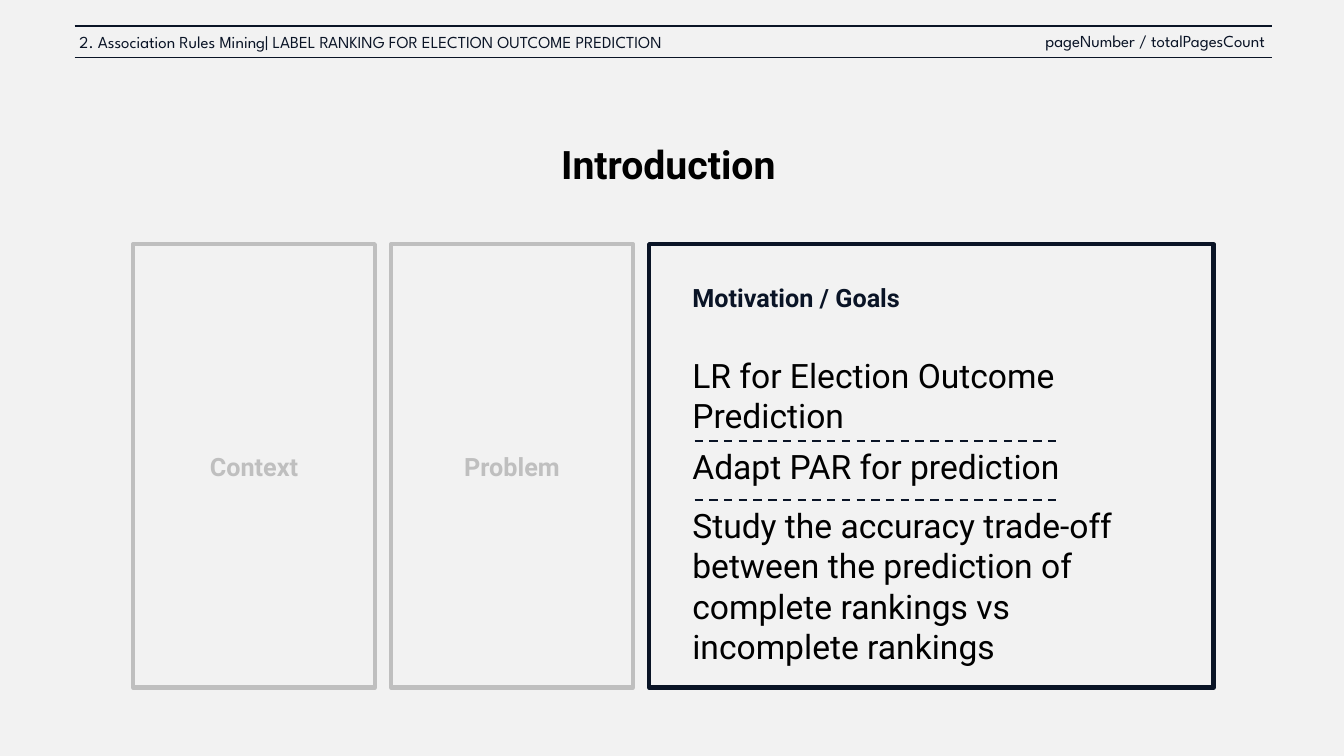
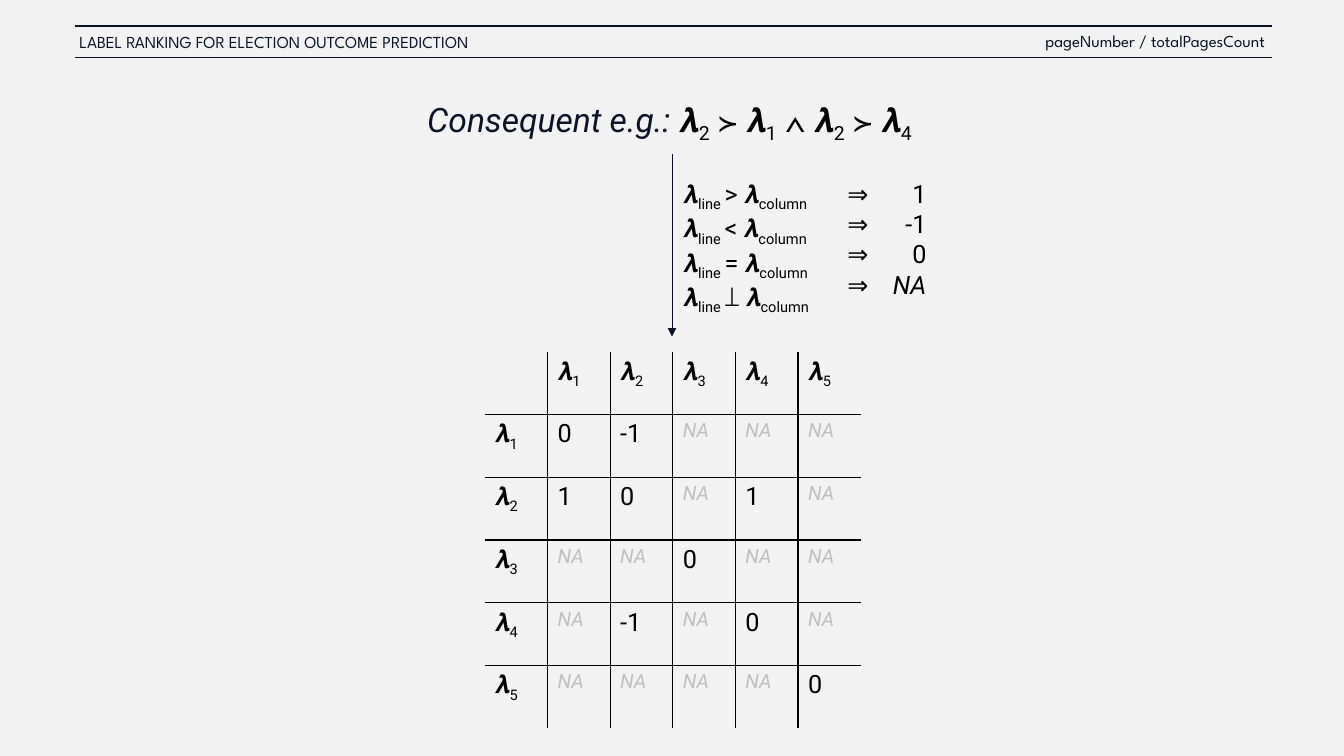
import lxml.etree
import pptx
import pptx.dml.color
import pptx.enum.dml
import pptx.enum.shapes
import pptx.enum.text
import pptx.oxml
import pptx.oxml.ns
import pptx.util

NAVY, BLACK, GREY, PAPER = "0A1426", "000000", "BFBFBF", "F2F2F2"
BODY_FONT, HEADER_FONT = "Roboto", "League Spartan"
colour = pptx.dml.color.RGBColor.from_string
Align = pptx.enum.text.PP_ALIGN
Dash = pptx.enum.dml.MSO_LINE

deck = pptx.Presentation()
deck.slide_width = pptx.util.Inches(13.33)
deck.slide_height = pptx.util.Inches(7.5)
master_fill = deck.slide_master.background.fill
master_fill.solid()
master_fill.fore_color.rgb = colour(PAPER)

# Square grid: 80 columns by 45 rows
CELL = deck.slide_width / 80


def grid(*counts):
    return [pptx.util.Emu(round(CELL * count)) for count in counts]


def write(para, text, size, ink, font=BODY_FONT, bold=False, italic=False):
    """Add runs to a paragraph; text between tildes is subscript."""
    for number, part in enumerate(text.split("~")):
        if not part:
            continue
        span = para.add_run()
        span.text = part
        span.font.name = font
        span.font.size = pptx.util.Pt(size)
        span.font.color.rgb = colour(ink)
        span.font.bold = bold
        span.font.italic = italic
        if number % 2:
            span._r.get_or_add_rPr().set("baseline", "-25000")


# Pages with their titles
title_only = deck.slide_layouts[5]
intro, matrix = [deck.slides.add_slide(title_only) for _ in range(2)]
titles = [
    (intro, (17.16, 5.4, 45.24, 9.12), [("Introduction", 28, BLACK, True, False)]),
    (matrix, (0, 5.04, 80, 4.2), [
        ("Consequent e.g.: ", 24, NAVY, False, True),
        ("𝝀~2~ ≻ 𝝀~1~ ∧ 𝝀~2~ ≻ 𝝀~4 ~", 24, BLACK, False, False)]),
]
for page, area, pieces in titles:
    title = page.shapes.title
    title.left, title.top, title.width, title.height = grid(*area)
    title.text_frame.auto_size = pptx.enum.text.MSO_AUTO_SIZE.NONE
    title.text_frame.vertical_anchor = pptx.enum.text.MSO_ANCHOR.MIDDLE
    para = title.text_frame.paragraphs[0]
    para.alignment = Align.CENTER
    para.line_spacing = 0.9
    for text, size, ink, bold, italic in pieces:
        write(para, text, size, ink, bold=bold, italic=italic)

# Panels: two faded steps and the current one
PANEL_LEFT, PANEL_TOP, PANEL_PITCH, PANEL_HEIGHT = 7.92, 14.54, 15.36, 26.4
panels = [("Context", 14.4, GREY), ("Problem", 14.4, GREY), ("", 33.6, NAVY)]
for number, (label, width, ink) in enumerate(panels):
    panel = intro.shapes.add_shape(
        pptx.enum.shapes.MSO_SHAPE.RECTANGLE,
        *grid(PANEL_LEFT + number * PANEL_PITCH, PANEL_TOP, width, PANEL_HEIGHT))
    panel.shadow.inherit = False
    panel.fill.background()
    panel.line.color.rgb = colour(ink)
    panel.line.width = pptx.util.Pt(3)
    para = panel.text_frame.paragraphs[0]
    para.alignment = Align.CENTER
    write(para, label, 18, ink, bold=True)

# Text boxes: page, area, lines, alignment, wrap, style
header = dict(size=12, ink=NAVY, font=HEADER_FONT)
heading = dict(size=18, ink=NAVY, bold=True)
goal = dict(size=24, ink=BLACK)
legend = dict(size=18, ink=BLACK)
topic = "LABEL RANKING FOR ELECTION OUTCOME PREDICTION"
GOAL_LEFT = 40.62
texts = [
    (intro, (4.14, 1.62, 56.5, 1.8), ["2. Association Rules Mining| " + topic],
     Align.LEFT, True, header),
    (matrix, (4.14, 1.62, 30.4, 1.8), [topic], Align.LEFT, True, header),
    (intro, (GOAL_LEFT, 16.5, 14.4, 2.4), ["Motivation / Goals"],
     Align.LEFT, False, heading),
    (intro, (GOAL_LEFT, 20.82, 24, 5.46), ["LR for Election Outcome Prediction"],
     Align.LEFT, True, goal),
    (intro, (GOAL_LEFT, 26.28, 24, 3), ["Adapt PAR for prediction"],
     Align.LEFT, True, goal),
    (intro, (GOAL_LEFT, 29.76, 28.86, 12.72),
     ["Study the accuracy trade-off between the prediction of "
      "complete rankings vs incomplete rankings"], Align.LEFT, True, goal),
    (matrix, (40.08, 10.32, 9.66, 7.86),
     [f"𝝀~line ~{sign} 𝝀~column~" for sign in "><=⟘"], Align.LEFT, False, legend),
    (matrix, (49.8, 10.32, 2.52, 7.86), ["⇒"] * 4, Align.CENTER, False, legend),
    (matrix, (52.44, 10.32, 3.3, 7.86), ["1", "-1", "0", "NA"],
     Align.RIGHT, False, legend),
]
for page in (intro, matrix):
    texts.append((page, (45.48, 1.56, 30.42, 1.8), ["pageNumber / totalPagesCount"],
                  Align.RIGHT, True, header))
for page, area, lines, alignment, wrap, style in texts:
    frame = page.shapes.add_textbox(*grid(*area)).text_frame
    frame.word_wrap = wrap
    frame.auto_size = pptx.enum.text.MSO_AUTO_SIZE.SHAPE_TO_FIT_TEXT
    for number, line in enumerate(lines):
        para = frame.add_paragraph() if number else frame.paragraphs[0]
        para.alignment = alignment
        write(para, line, italic=line == "NA", **style)

# Lines: header rules, goal separators, arrow to the matrix
rules = [(page, (4.44, y, 75.72, y), 1, None, False)
         for page in (intro, matrix) for y in (1.56, 3.42)]
rules += [(intro, (41.34, y, 63.18, y), 1.5, Dash.DASH, False) for y in (26.28, 29.76)]
rules.append((matrix, (40, 9.18, 40, 20.04), 0.5, None, True))
for page, ends, width, dash, arrow in rules:
    rule = page.shapes.add_connector(
        pptx.enum.shapes.MSO_CONNECTOR.STRAIGHT, *grid(*ends))
    rule.line.color.rgb = colour(NAVY)
    rule.line.width = pptx.util.Pt(width)
    if dash:
        rule.line.dash_style = dash
    if arrow:
        lxml.etree.SubElement(rule.line._get_or_add_ln(),
                              pptx.oxml.ns.qn("a:tailEnd"), type="triangle")
    lxml.etree.SubElement(rule._element.spPr, pptx.oxml.ns.qn("a:effectLst"))

# Pairwise matrix, ruled on the inside only
labels = [f"𝝀~{number}~" for number in range(1, 6)]
values = [
    ["0", "-1", "NA", "NA", "NA"],
    ["1", "0", "NA", "1", "NA"],
    ["NA", "NA", "0", "NA", "NA"],
    ["NA", "-1", "NA", "0", "NA"],
    ["NA", "NA", "NA", "NA", "0"],
]
rows = [[""] + labels] + [[label] + line for label, line in zip(labels, values)]
last = len(rows) - 1
table = matrix.shapes.add_table(
    len(rows), len(rows), *grid(28.86, 20.94, 22.38, 22.44)).table
table.first_row = False
table.horz_banding = False
for r, line in enumerate(rows):
    for c, text in enumerate(line):
        cell = table.cell(r, c)
        cell.fill.background()
        missing = text == "NA"
        write(cell.text_frame.paragraphs[0], text, 14 if missing else 18,
              GREY if missing else BLACK, italic=missing)
        inside = {"L": c > 0, "R": c < last, "T": r > 0, "B": r < last}
        for position, (side, ruled) in enumerate(inside.items()):
            paint = (f'<a:solidFill><a:srgbClr val="{BLACK}"/></a:solidFill>'
                     if ruled else "<a:noFill/>")
            border = pptx.oxml.parse_xml(
                f'<a:ln{side} {pptx.oxml.ns.nsdecls("a")} w="12700">{paint}</a:ln{side}>')
            cell._tc.get_or_add_tcPr().insert(position, border)

deck.save("out.pptx")
